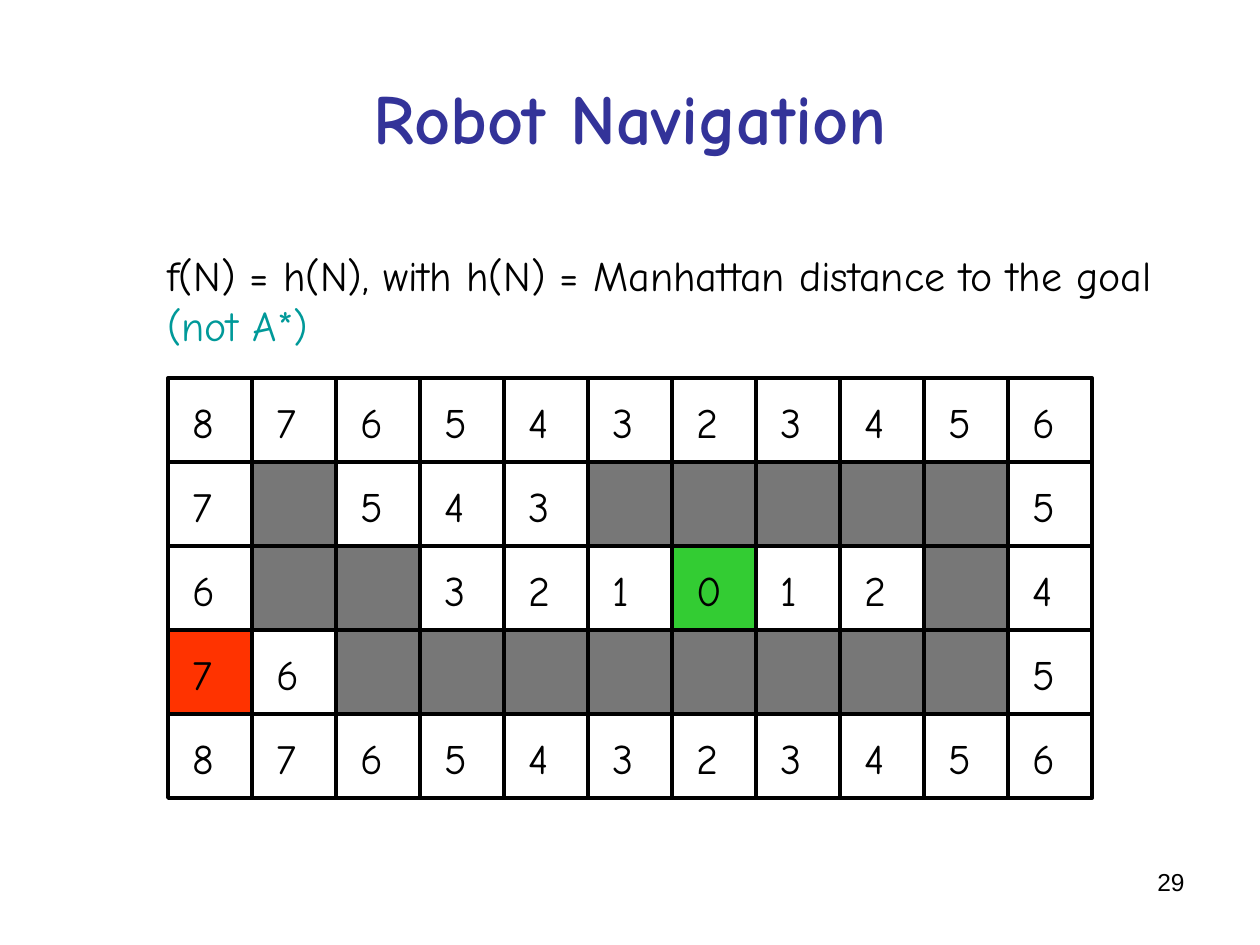
import pptx
import pptx.dml.color
import pptx.enum.shapes
import pptx.enum.text
import pptx.oxml.ns
import pptx.util
from lxml import etree

Pt = pptx.util.Pt
ALIGN = pptx.enum.text.PP_ALIGN
ANCHOR = pptx.enum.text.MSO_ANCHOR
COLORS = {"ink": "000000", "title": "333399", "note": "009999",
          "wall": "777777", "start": "FF3300", "goal": "33CC33"}
HAND = "Comic Neue"
CELL = 48

# Manhattan distances to the goal; "#" is a wall
MAZE = ["87654323456",
        "7#543#####5",
        "6##321012#4",
        "76########5",
        "87654323456"]
START, GOAL = (3, 0), (2, 6)


def rgb(name):
    return pptx.dml.color.RGBColor.from_string(COLORS[name])


def add_text(shapes, box, text, size, color="ink", font=HAND, bold=False,
             align=ALIGN.LEFT, anchor=ANCHOR.TOP, wrap=True):
    frame = shapes.add_textbox(*map(Pt, box)).text_frame
    frame.word_wrap = wrap
    frame.vertical_anchor = anchor
    paragraph = frame.paragraphs[0]
    paragraph.text = text
    paragraph.alignment = align
    paragraph.font.size = Pt(size)
    paragraph.font.name = font
    paragraph.font.bold = bold
    paragraph.font.color.rgb = rgb(color)
    return paragraph


def add_box(shapes, box, fill=None):
    rect = shapes.add_shape(pptx.enum.shapes.MSO_SHAPE.RECTANGLE, *map(Pt, box))
    rect.shadow.inherit = False
    if fill:
        rect.fill.solid()
        rect.fill.fore_color.rgb = rgb(fill)
    else:
        rect.fill.background()
    rect.line.color.rgb = rgb("ink")
    rect.line.width = Pt(2.25)


def add_line(shapes, ends):
    line = shapes.add_connector(pptx.enum.shapes.MSO_CONNECTOR.STRAIGHT, *map(Pt, ends))
    line.line.color.rgb = rgb("ink")
    line.line.width = Pt(2.25)
    etree.SubElement(line._element.spPr, pptx.oxml.ns.qn("a:effectLst"))


def add_heuristic(shapes, box):
    formula = add_text(shapes, box, "f(N) = h(N), with h(N) = Manhattan distance to the goal",
                       24, wrap=False)
    formula.add_line_break()
    note = formula.add_run()
    note.text = "(not A*)"
    note.font.color.rgb = rgb("note")


def add_maze(shapes, left, top):
    rows, columns = len(MAZE), len(MAZE[0])
    width, height = columns * CELL, rows * CELL

    # Frame and grid lines
    add_box(shapes, (left, top, width, height))
    for column in range(1, columns):
        x = left + column * CELL
        add_line(shapes, (x, top, x, top + height))
    for row in range(1, rows):
        y = top + row * CELL
        add_line(shapes, (left, y, left + width, y))

    # Coloured cells, then distances above them
    cells = [((row, column), mark) for row, marks in enumerate(MAZE)
             for column, mark in enumerate(marks)]
    for (row, column), mark in cells:
        fill = {START: "start", GOAL: "goal"}.get((row, column))
        if mark == "#":
            fill = "wall"
        if fill:
            add_box(shapes, (left + column * CELL, top + row * CELL, CELL, CELL), fill)
    for (row, column), mark in cells:
        if mark != "#":
            add_text(shapes, (left + column * CELL + 7, top + row * CELL + 7, 27, 36),
                     mark, 24)


def main():
    deck = pptx.Presentation()
    deck.slide_width, deck.slide_height = Pt(720), Pt(540)
    slide = deck.slides.add_slide(deck.slide_layouts[6])

    # Page number and title
    add_text(slide.shapes, (516, 492, 168, 37.5), "29", 14, font="Arial", align=ALIGN.RIGHT)
    add_text(slide.shapes, (36, 21.6, 648, 90), "Robot Navigation", 40, "title",
             bold=True, align=ALIGN.CENTER, anchor=ANCHOR.MIDDLE)

    # Maze and its heuristic
    add_maze(slide.shapes.add_group_shape().shapes, 96, 216)
    add_heuristic(slide.shapes, (88.5, 139, 579, 65))

    deck.save("out.pptx")


if __name__ == "__main__":
    main()
